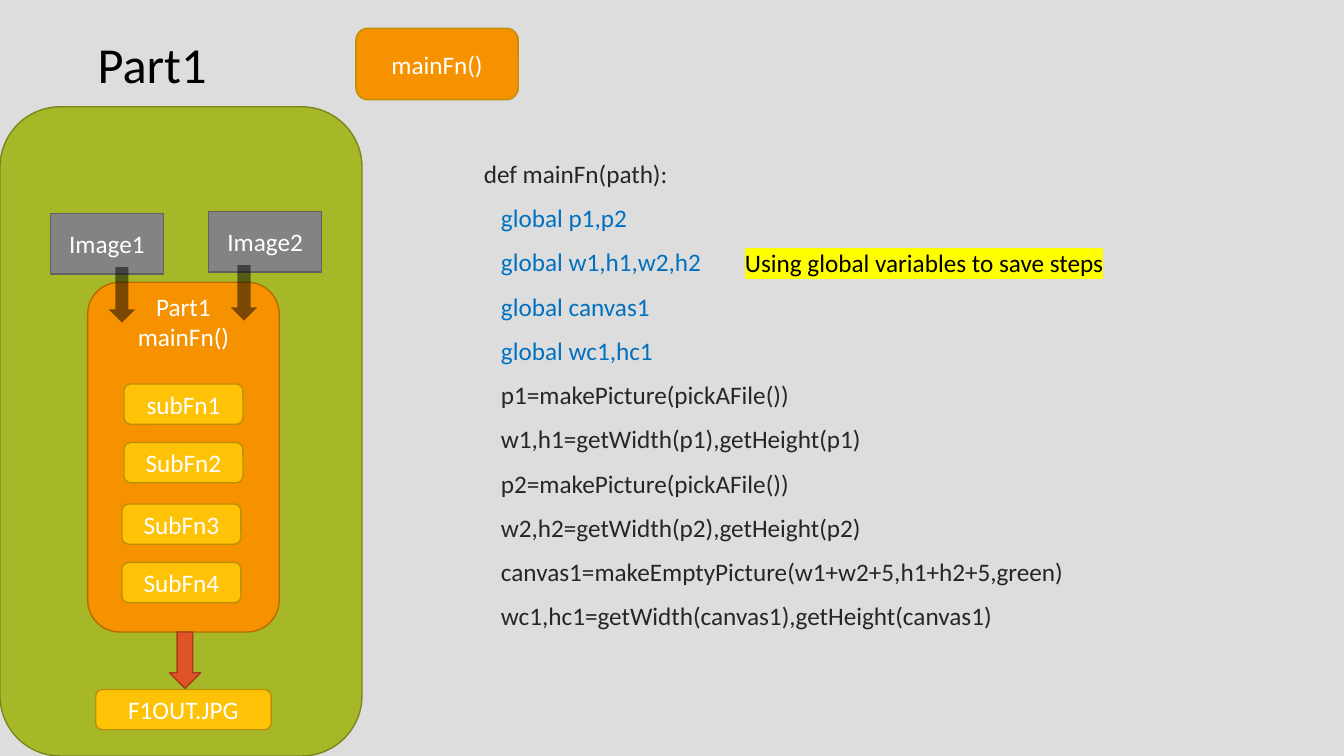
import pptx
import pptx.util
import pptx.dml.color
import pptx.enum.shapes
import pptx.enum.text
import pptx.oxml
import pptx.oxml.ns
from pptx.util import Inches

KIND = pptx.enum.shapes.MSO_SHAPE
ANCHOR = pptx.enum.text.MSO_ANCHOR
ALIGN = pptx.enum.text.PP_ALIGN

COLORS = {
    "back": "DDDDDD", "white": "FFFFFF", "black": "000000",
    "ink": "262626", "blue": "0070C0", "mark": "FFFF00",
    "green": "A6B727", "moss": "7B871D",
    "gray": "838383", "slate": "616161",
    "orange": "F69200", "brown": "B66C00",
    "gold": "FEC306", "bronze": "BC9004",
    "red": "DF5327", "rust": "A53D1D",
}

CODE = [
    ("def mainFn(path):", "ink"),
    ("global p1,p2", "blue"),
    ("global w1,h1,w2,h2", "blue"),
    ("global canvas1", "blue"),
    ("global wc1,hc1", "blue"),
    ("p1=makePicture(pickAFile())", "ink"),
    ("w1,h1=getWidth(p1),getHeight(p1)", "ink"),
    ("p2=makePicture(pickAFile())", "ink"),
    ("w2,h2=getWidth(p2),getHeight(p2)", "ink"),
    ("canvas1=makeEmptyPicture(w1+w2+5,h1+h2+5,green)", "ink"),
    ("wc1,hc1=getWidth(canvas1),getHeight(canvas1)", "ink"),
]

STEPS = [
    ("subFn1", 1.23, 3.81),
    ("SubFn2", 1.23, 4.39),
    ("SubFn3", 1.21, 5),
    ("SubFn4", 1.21, 5.58),
]


def tint(name):
    return pptx.dml.color.RGBColor.from_string(COLORS[name])


def find(shape, tag):
    return shape.element.find(".//" + pptx.oxml.ns.qn(tag))


def make(tag, value):
    space = pptx.oxml.ns.nsdecls("a")
    return pptx.oxml.parse_xml(f'<a:{tag} {space} val="{value}"/>')


def add_run(para, text, color, size=18):
    run = para.add_run()
    run.text = text
    run.font.name = "Calibri"
    run.font.size = pptx.util.Pt(size)
    run.font.color.rgb = tint(color)


def add_block(slide, kind, box, fill, line=None, lines=()):
    shape = slide.shapes.add_shape(kind, *map(Inches, box))
    shape.shadow.inherit = False
    shape.fill.solid()
    shape.fill.fore_color.rgb = tint(fill)
    if line:
        shape.line.color.rgb = tint(line)
        shape.line.width = pptx.util.Pt(1)
    else:
        shape.line.fill.background()
    frame = shape.text_frame
    frame.word_wrap = True
    frame.vertical_anchor = ANCHOR.MIDDLE
    for spot, text in enumerate(lines):
        para = frame.add_paragraph() if spot else frame.paragraphs[0]
        para.alignment = ALIGN.CENTER
        add_run(para, text, "white")
    return shape


def add_pill(slide, box, text, fill="gold"):
    kind = KIND.FLOWCHART_ALTERNATE_PROCESS
    add_block(slide, kind, box, fill, "bronze", [text])


def add_shade(slide, left, top):
    box = (left, top, 0.26, 0.55)
    arrow = add_block(slide, KIND.DOWN_ARROW, box, "black")
    find(arrow, "a:srgbClr").append(make("alpha", 50000))


def add_label(slide, box, text, size=18, wrap=True):
    label = slide.shapes.add_textbox(*map(Inches, box))
    label.text_frame.word_wrap = wrap
    add_run(label.text_frame.paragraphs[0], text, "black", size)
    return label


def add_mark(label):
    space = pptx.oxml.ns.nsdecls("a")
    mark = pptx.oxml.parse_xml(f"<a:highlight {space}/>")
    mark.append(make("srgbClr", COLORS["mark"]))
    find(label, "a:rPr").find(pptx.oxml.ns.qn("a:solidFill")).addnext(mark)


def add_code(slide):
    box = slide.shapes.add_textbox(*map(Inches, (4.7, 1.52, 8.35, 5.49)))
    frame = box.text_frame
    frame.word_wrap = True
    for spot, (text, color) in enumerate(CODE):
        para = frame.add_paragraph() if spot else frame.paragraphs[0]
        add_run(para, text, color)
        if spot:
            para.space_before = pptx.util.Pt(10)
    for props in box.element.iter(pptx.oxml.ns.qn("a:pPr")):
        props.set("marL", str(Inches(0.17)))


def add_flow(slide):
    add_block(slide, KIND.ROUNDED_RECTANGLE, (0, 1.06, 3.59, 6.44), "green", "moss")
    for text, left, top in [("Image1", 0.5, 2.12), ("Image2", 2.07, 2.1)]:
        box = (left, top, 1.12, 0.6)
        add_block(slide, KIND.RECTANGLE, box, "gray", "slate", [text])
    stage = add_block(slide, KIND.ROUNDED_RECTANGLE, (0.87, 2.8, 1.9, 3.47),
                      "orange", "brown", ["Part1", "mainFn()"])
    stage.text_frame.vertical_anchor = ANCHOR.TOP
    stage.text_frame.margin_top = 0
    for text, left, top in STEPS:
        add_pill(slide, (left, top, 1.18, 0.4), text)
    add_shade(slide, 1.08, 2.65)
    add_shade(slide, 2.29, 2.63)
    add_pill(slide, (0.95, 6.84, 1.74, 0.4), "F1OUT.JPG")
    add_block(slide, KIND.DOWN_ARROW, (1.68, 6.27, 0.31, 0.56), "red", "rust")


def main():
    deck = pptx.Presentation()
    deck.slide_width, deck.slide_height = Inches(13.33), Inches(7.5)
    slide = deck.slides.add_slide(deck.slide_layouts[6])
    slide.background.fill.solid()
    slide.background.fill.fore_color.rgb = tint("back")
    add_code(slide)
    add_flow(slide)
    add_label(slide, (0.87, 0.28, 1.61, 0.71), "Part1", 36)
    note = add_label(slide, (7.29, 2.4, 3.76, 0.4),
                     "Using global variables to save steps", wrap=False)
    add_mark(note)
    add_pill(slide, (3.53, 0.28, 1.61, 0.71), "mainFn()", "orange")
    deck.save("out.pptx")


if __name__ == "__main__":
    main()
